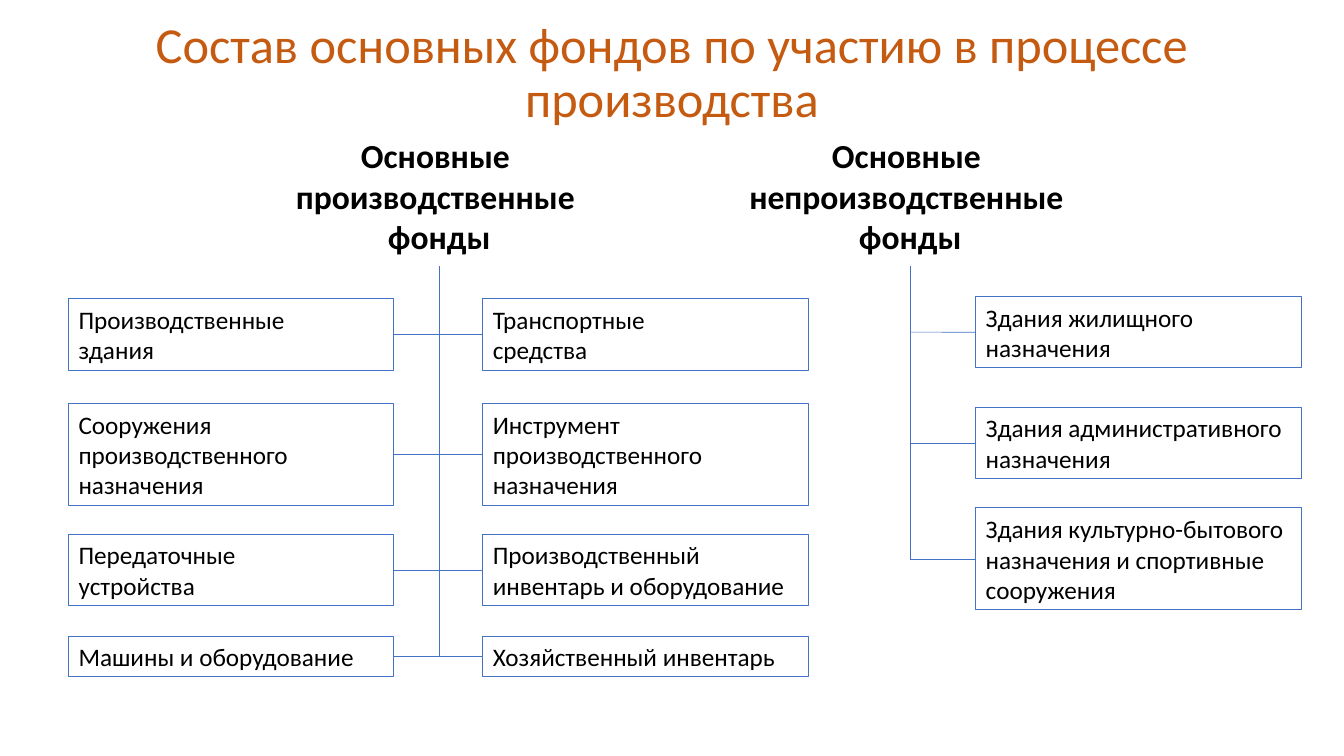
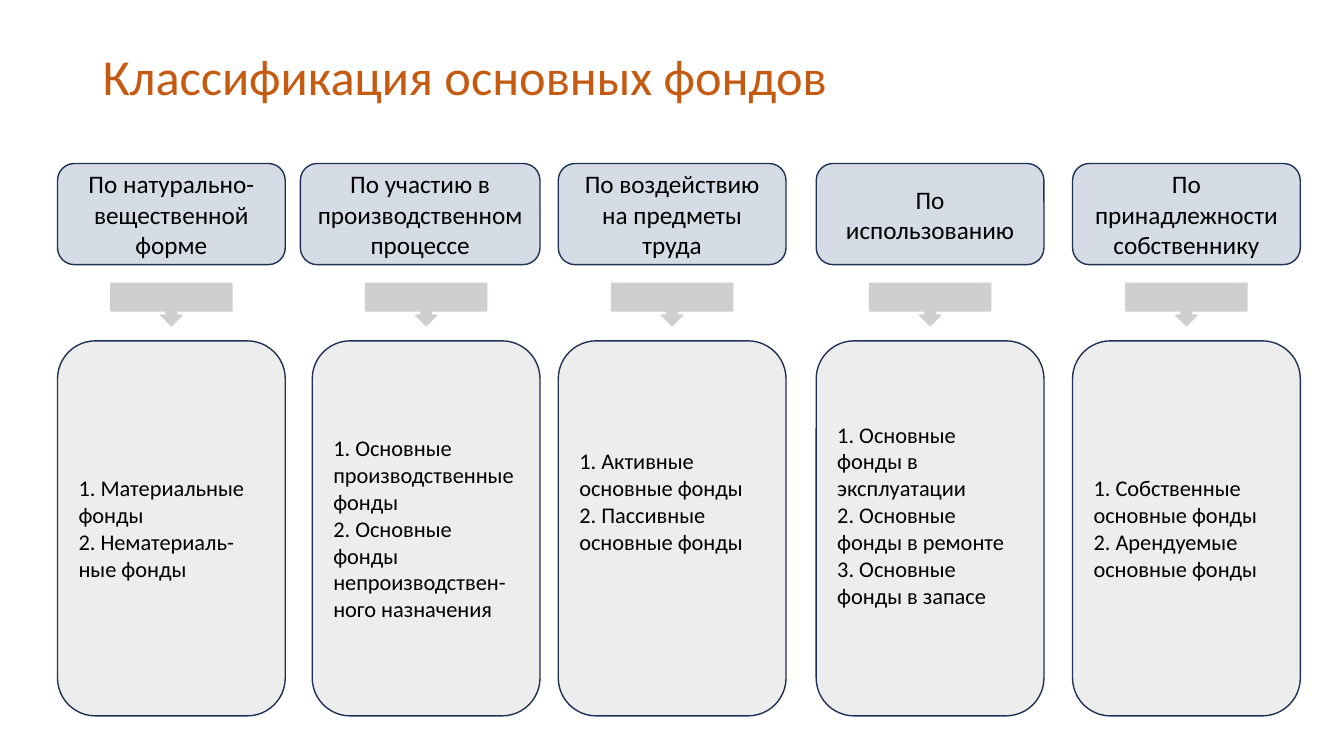
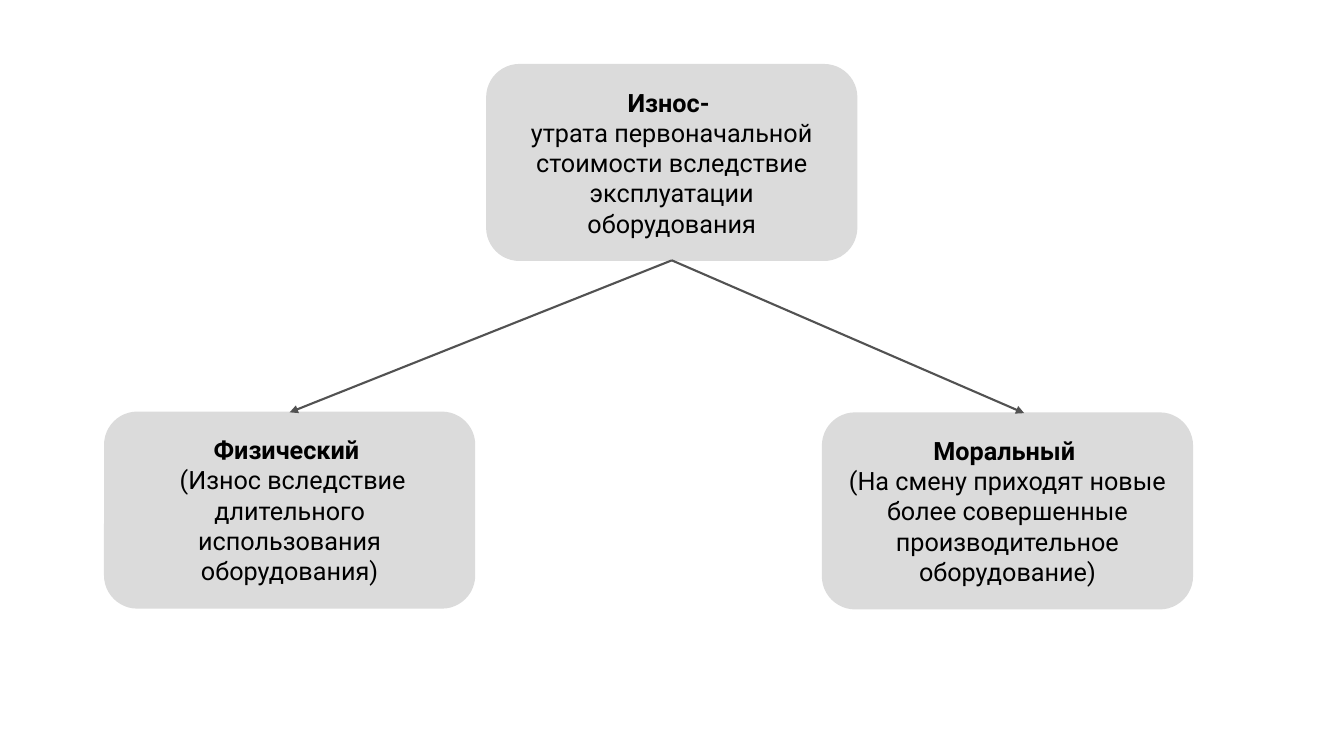
from dataclasses import dataclass

from lxml.etree import SubElement
from pptx import Presentation
from pptx.dml.color import RGBColor
from pptx.enum.shapes import MSO_CONNECTOR as Connector, MSO_SHAPE as Preset
from pptx.enum.text import MSO_ANCHOR as Anchor, MSO_AUTO_SIZE as AutoSize, PP_ALIGN as Align
from pptx.oxml.ns import qn
from pptx.util import Cm, Pt


@dataclass(frozen=True)
class Theme:
    font: str = "Calibri"
    wear_font: str = "Roboto"
    title_color: str = "C55A11"
    text: str = "000000"
    tree_line: str = "4472C4"
    card_line: str = "1E3256"
    header_fill: str = "D6DCE5"
    card_fill: str = "EDEDED"
    callout: str = "D0CECE"
    wear_fill: str = "DBDBDB"
    arrow: str = "525252"
    title_size: int = 36
    heading_size: int = 24
    body_size: int = 18
    list_size: int = 16


THEME = Theme()
SLIDE_SIZE = (33.87, 19.05)
LEFT, TOP, BOTTOM, RIGHT = 1, 0, 2, 3  # connection sites: side index

# Content: all lengths in centimetres; a text is a list of paragraphs
FUNDS_TITLE = "Состав основных фондов по участию в процессе производства"
FUND_GROUPS = [
    {
        "heading": ["Основные ", "производственные \nфонды"],
        "heading_width": 13.03,
        "spine": 11.07,
        "row_tops": [7.53, 10.17, 13.46, 16.03],
        "columns": [
            (1.73, [
                (2, ["Производственные \nздания"]),
                (3, ["Сооружения", "производственного\nназначения"]),
                (2, ["Передаточные \nустройства"]),
                (1, ["Машины и оборудование"]),
            ]),
            (12.17, [
                (2, ["Транспортные \nсредства"]),
                (3, ["Инструмент", "производственного назначения"]),
                (2, ["Производственный инвентарь и оборудование"]),
                (1, ["Хозяйственный инвентарь"]),
            ]),
        ],
    },
    {
        "heading": ["Основные ", "непроизводственные \nфонды"],
        "heading_width": 8.69,
        "spine": 22.94,
        "row_tops": [7.47, 10.26, 12.8],
        "columns": [
            (24.59, [
                (2, ["Здания жилищного назначения"]),
                (2, ["Здания административного назначения"]),
                (3, ["Здания культурно-бытового назначения и спортивные сооружения"]),
            ]),
        ],
    },
]

CLASSES_TITLE = "Классификация основных фондов"
# left edge, header width, header, list, lines the list is raised by
CLASSES = [
    (1.45, 5.74, "По натурально-вещественной форме",
     ["1. Материальные фонды", "2. Нематериаль-ные фонды"], 0),
    (7.87, 6.04, "По участию в производственном процессе",
     ["1. Основные производственные фонды",
      "2. Основные фонды непроизводствен-ного назначения"], 0),
    (14.07, 5.74, "По воздействию на предметы труда",
     ["1. Активные основные фонды", "2. Пассивные основные фонды"], 2),
    (20.57, 5.74, "По использованию",
     ["1. Основные фонды в эксплуатации", "2. Основные фонды в ремонте",
      "3. Основные фонды в запасе"], 1),
    (27.03, 5.74, "По принадлежности собственнику",
     ["1. Собственные основные фонды", "2. Арендуемые основные фонды"], 0),
]

WEAR = (12.27, 1.63, ["Износ- ",
                      "утрата первоначальной стоимости вследствие эксплуатации оборудования"])
# left, top, text, shift of the arrow tip from the middle of the top side
WEAR_KINDS = [
    (2.64, 10.39, ["Физический ",
                   " (Износ вследствие длительного использования оборудования)"], 0),
    (20.73, 10.41, ["Моральный ",
                    "(На смену приходят новые более совершенные производительное оборудование)"],
     0.42),
]


# Shared helpers
def rgb(value):
    return RGBColor.from_string(value)


def write(text_frame, paragraphs, size, align=Align.LEFT, font=THEME.font,
          color=THEME.text, bold_lines=0):
    """Fill a frame; the first bold_lines paragraphs are bold."""
    text_frame.word_wrap = True
    for index, text in enumerate(paragraphs):
        paragraph = text_frame.add_paragraph() if index else text_frame.paragraphs[0]
        paragraph.text = text
        paragraph.alignment = align
        for run in paragraph.runs:
            run.font.name = font
            run.font.size = Pt(size)
            run.font.bold = index < bold_lines
            run.font.color.rgb = rgb(color)


def add_title(slide, text, box, align):
    title = slide.shapes.title
    title.left, title.top, title.width, title.height = map(Cm, box)
    frame = title.text_frame
    write(frame, [text], THEME.title_size, align, color=THEME.title_color)
    frame.auto_size = AutoSize.NONE
    frame.vertical_anchor = Anchor.MIDDLE
    frame.paragraphs[0].line_spacing = 0.9


def add_box(slide, preset, box, fill, line, line_width=1):
    shape = slide.shapes.add_shape(preset, *map(Cm, box))
    shape.shadow.inherit = False
    if fill:
        shape.fill.solid()
        shape.fill.fore_color.rgb = rgb(fill)
    else:
        shape.fill.background()
    shape.line.color.rgb = rgb(line)
    shape.line.width = Pt(line_width)
    shape.text_frame.vertical_anchor = Anchor.MIDDLE
    return shape


def add_line(slide, start, end, color, width, begin=None, finish=None, arrow=False):
    """Draw a line; begin and finish are (shape, side) pairs to join."""
    line = slide.shapes.add_connector(Connector.STRAIGHT, *map(Cm, (*start, *end)))
    line.line.color.rgb = rgb(color)
    line.line.width = Pt(width)
    if arrow:
        SubElement(line.line._get_or_add_ln(), qn("a:tailEnd"), type="triangle")
    SubElement(line._element.spPr, qn("a:effectLst"))
    if begin:
        line.begin_connect(*begin)
    if finish:
        line.end_connect(*finish)


# Slide 1: two trees of funds
def add_fund_group(slide, group):
    spine, width = group["spine"], group["heading_width"]
    heading = slide.shapes.add_textbox(*map(Cm, (spine - width / 2, 3.28, width, 3.33)))
    write(heading.text_frame, group["heading"], THEME.heading_size, Align.CENTER, bold_lines=2)

    columns = []
    for left, items in group["columns"]:
        boxes = []
        for top, (lines, paragraphs) in zip(group["row_tops"], items):
            height = 0.26 + 0.77 * lines
            box = add_box(slide, Preset.RECTANGLE, (left, top, 8.2, height),
                          None, THEME.tree_line, 0.75)
            write(box.text_frame, paragraphs, THEME.body_size)
            box.text_frame.auto_size = AutoSize.SHAPE_TO_FIT_TEXT
            boxes.append(box)
        columns.append(boxes)

    middles = [(box.top + box.height / 2) / Cm(1) for box in columns[-1]]
    add_line(slide, (spine, 6.71), (spine, middles[-1]), THEME.tree_line, 0.5)
    for row, middle in zip(zip(*columns), middles):
        begin = (row[0], RIGHT) if len(row) > 1 else None
        add_line(slide, (spine, middle), (spine, middle), THEME.tree_line, 0.5,
                 begin, (row[-1], LEFT))


def build_funds(presentation):
    slide = presentation.slides.add_slide(presentation.slide_layouts[5])
    add_title(slide, FUNDS_TITLE, (2.33, 0.03, 29.21, 3.68), Align.CENTER)
    for group in FUND_GROUPS:
        add_fund_group(slide, group)


# Slide 2: five columns of header, callout and list
def build_classes(presentation):
    slide = presentation.slides.add_slide(presentation.slide_layouts[5])
    add_title(slide, CLASSES_TITLE, (2.33, 1.02, 29.21, 1.96), Align.LEFT)
    card_width, callout_width, line_height = 5.74, 3.05, 0.68
    for left, header_width, header_text, items, raised in CLASSES:
        header_left = left + card_width - header_width
        header = add_box(slide, Preset.ROUNDED_RECTANGLE, (header_left, 4.12, header_width, 2.55),
                         THEME.header_fill, THEME.card_line)
        write(header.text_frame, [header_text], THEME.body_size, Align.CENTER)

        card = add_box(slide, Preset.ROUNDED_RECTANGLE, (left, 8.59, card_width, 9.45),
                       THEME.card_fill, THEME.card_line)
        write(card.text_frame, items, THEME.list_size)
        card.text_frame.margin_bottom = Cm(0.13 + raised * line_height)

        callout_left = left + (card_width - callout_width) / 2
        add_box(slide, Preset.DOWN_ARROW_CALLOUT, (callout_left, 7.14, callout_width, 1.07),
                THEME.callout, THEME.callout)


# Slide 3: wear and its two kinds
def add_wear_box(slide, left, top, paragraphs):
    box = add_box(slide, Preset.ROUNDED_RECTANGLE, (left, top, 9.32, 4.93),
                  THEME.wear_fill, THEME.wear_fill)
    write(box.text_frame, paragraphs, THEME.body_size, Align.CENTER,
          THEME.wear_font, bold_lines=1)
    return box


def build_wear(presentation):
    slide = presentation.slides.add_slide(presentation.slide_layouts[6])
    wear = add_wear_box(slide, *WEAR)
    for left, top, paragraphs, shift in WEAR_KINDS:
        kind = add_wear_box(slide, left, top, paragraphs)
        tip = (left + 9.32 / 2 + shift, top)
        add_line(slide, tip, tip, THEME.arrow, 1.5, (wear, BOTTOM),
                 None if shift else (kind, TOP), arrow=True)


def main():
    presentation = Presentation()
    presentation.slide_width, presentation.slide_height = map(Cm, SLIDE_SIZE)
    build_funds(presentation)
    build_classes(presentation)
    build_wear(presentation)
    presentation.save("out.pptx")


if __name__ == "__main__":
    main()
